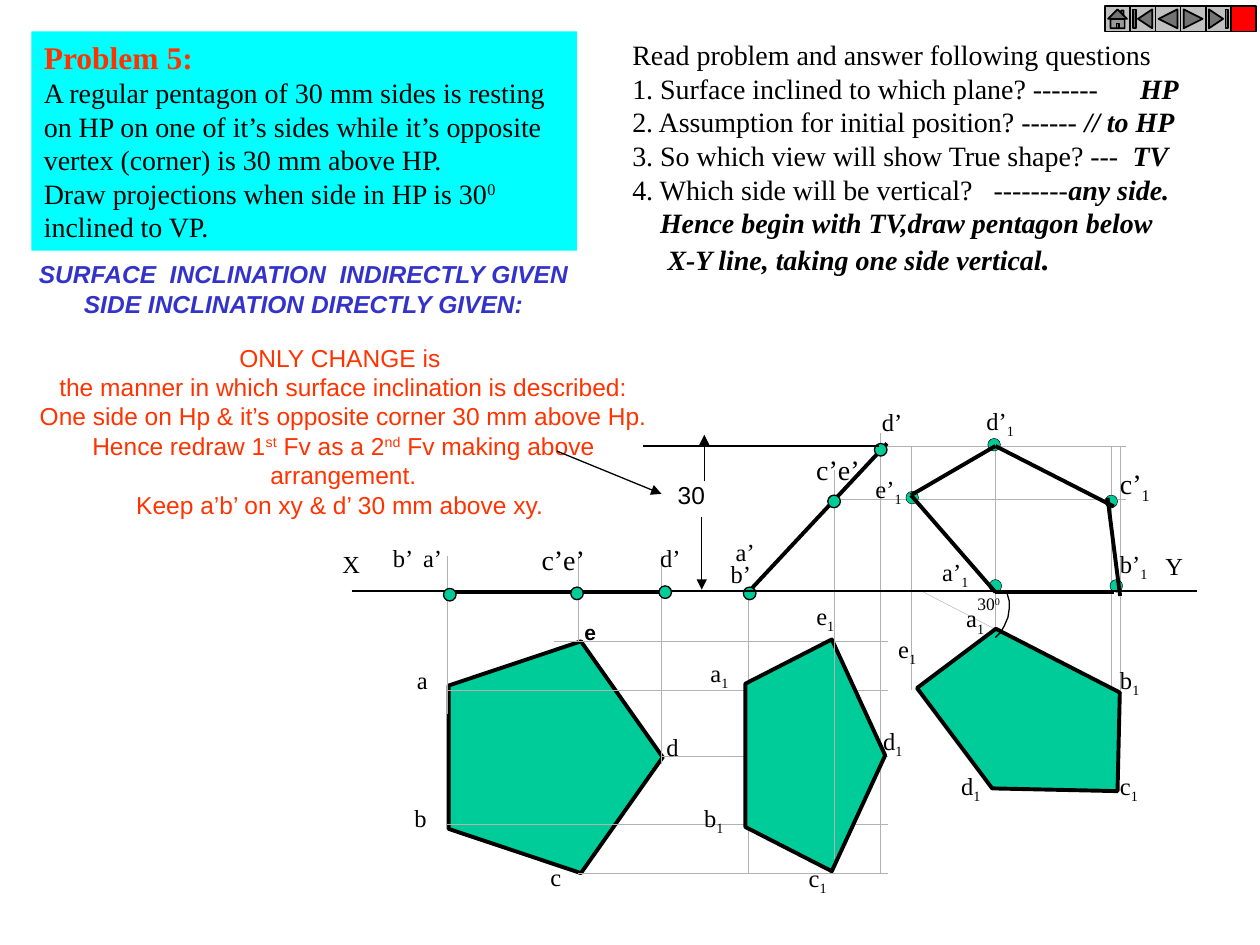
from lxml import etree
from pptx import Presentation, util as u
from pptx.dml.color import RGBColor
from pptx.enum import shapes, text
from pptx.oxml import ns

HUES = {"black": "000000", "cyan": "00FFFF", "green": "00CC99", "gray": "B2B2B2",
        "orange": "FF3300", "blue": "3333CC", "silver": "C0C0C0", "red": "FF0000"}
KINDS = shapes.MSO_SHAPE
ROMAN, SANS = "Times New Roman", "Arial"
BASES = {"^": "30000", "_": "-25000"}


def cm(inches):
    return u.Cm(inches * 2.54)


def hue(name):
    return RGBColor.from_string(HUES[name])


def sub(node, tag, **attrs):
    return etree.SubElement(node, ns.qn(tag), **attrs)


def add_run(para, words, mark=""):
    run = para.add_run()
    run.text = words
    if mark in BASES:
        run._r.get_or_add_rPr().set("baseline", BASES[mark])
    if mark == "bi":
        run.font.bold = run.font.italic = True


def fill_para(para, parts, size, face=ROMAN, color="black", bold=None, italic=None,
              center=False, indent=0, tab=0):
    props = para._p.get_or_add_pPr()
    if indent:
        props.set("marL", str(cm(indent)))
        props.set("indent", "0")
    if tab:
        sub(sub(props, "a:tabLst"), "a:tab", pos=str(cm(tab)), algn="l")
    if center:
        para.alignment = text.PP_ALIGN.CENTER
    font = para.font
    font.size, font.name = u.Pt(size), face
    font.bold, font.italic = bold, italic
    font.color.rgb = hue(color)
    for part in [parts] if isinstance(parts, str) else parts:
        add_run(para, *([part] if isinstance(part, str) else part))


def fill_frame(frame, rows, **style):
    for i, row in enumerate(rows):
        para = frame.paragraphs[0] if i == 0 else frame.add_paragraph()
        parts, extra = row if isinstance(row, tuple) else (row, {})
        fill_para(para, parts, **{**style, **extra})


def add_text(slide, x, y, w, h, rows, wrap=False, **style):
    frame = slide.shapes.add_textbox(cm(x), cm(y), cm(w), cm(h)).text_frame
    frame.word_wrap = wrap
    fill_frame(frame, rows, **style)
    return frame


def add_label(slide, name, x, y, size=14, **style):
    mark = next((m for m in BASES if m in name), "")
    stem, _, tail = name.partition(mark) if mark else (name, "", "")
    parts = [stem, (tail, mark)] if mark else stem
    wide = 0.25 + 0.0065 * size * len(stem + tail)
    add_text(slide, x, y, wide, 0.1 + size / 60, [parts], size=size, **style)


def add_line(slide, x1, y1, x2, y2, color="black", width=0.75, arrow=False):
    line = slide.shapes.add_connector(shapes.MSO_CONNECTOR.STRAIGHT,
                                      cm(x1), cm(y1), cm(x2), cm(y2))
    line.line.color.rgb, line.line.width = hue(color), u.Pt(width)
    if arrow:
        sub(line.line._get_or_add_ln(), "a:tailEnd", type="triangle")
    sub(line._element.spPr, "a:effectLst")


def add_shape(slide, kind, x, y, w, h, fill, width=0, turn=0):
    shape = slide.shapes.add_shape(kind, cm(x), cm(y), cm(w), cm(h))
    shape.shadow.inherit = False
    shape.rotation = turn
    shape.fill.solid()
    shape.fill.fore_color.rgb = hue(fill)
    if width:
        shape.line.color.rgb, shape.line.width = hue("black"), u.Pt(width)
    else:
        shape.line.fill.background()
    return shape


def add_guides(slide, ends):
    for end in ends:
        add_line(slide, *end, color="gray", width=0.25)


def add_edges(slide, ends):
    for end in ends:
        add_line(slide, *end, width=2.25)


def add_dots(slide, spots, width):
    for x, y in spots:
        add_shape(slide, KINDS.OVAL, x, y, 0.1, 0.1, "green", width)


def add_plate(slide, x, y, w, h, turn):
    add_shape(slide, KINDS.REGULAR_PENTAGON, x, y, w, h, "green", 2.25, turn)


def add_arc(slide):
    spots = [(7.9, 5.06), (7.94, 5.02), (7.97, 4.97), (8, 4.9),
             (8.01, 4.83), (8.01, 4.77), (7.99, 4.7)]
    points = [(cm(x), cm(y)) for x, y in spots]
    pen = slide.shapes.build_freeform(*points[0])
    pen.add_line_segments(points[1:], close=False)
    arc = pen.convert_to_shape()
    arc.shadow.inherit = False
    arc.fill.background()
    arc.line.color.rgb, arc.line.width = hue("black"), u.Pt(0.75)


def add_problem(slide):
    box = add_shape(slide, KINDS.RECTANGLE, 0.25, 0.25, 4.33, 1.74, "cyan")
    frame = box.text_frame
    frame.word_wrap, frame.vertical_anchor = True, text.MSO_ANCHOR.TOP
    fill_frame(frame, [
        ("Problem 5:", {"size": 18, "color": "orange", "bold": True}),
        "A regular pentagon of 30 mm sides is resting",
        "on HP on one of it’s sides while it’s opposite",
        "vertex (corner) is 30 mm above HP.",
        ["Draw projections when side in HP is 30", ("0", "^"), " inclined to VP."]], size=16)
    for para in frame.paragraphs:
        para.alignment = text.PP_ALIGN.LEFT


def add_questions(slide):
    frame = add_text(slide, 4.92, 0.25, 4.56, 2.01, [
        "Read problem and answer following questions",
        (["1. Surface inclined to which plane? -------\t", ("HP", "bi")], {"tab": 4.03}),
        ["2. Assumption for initial position? ------ ", ("// to HP", "bi")],
        ["3. So which view will show True shape? ---  ", ("TV", "bi")],
        ["4. Which side will be vertical?   --------", ("any side.", "bi")],
        ([("Hence begin with TV,draw pentagon below", "bi")], {"indent": 0.22}),
        ([("X-Y line, taking one side vertical", "bi"), (".", "bi")], {"indent": 0.28})],
        size=16)
    frame.paragraphs[-1].runs[-1].font.size = u.Pt(18)


def add_notes(slide):
    add_text(slide, 0.19, 2.01, 4.44, 0.57,
             ["SURFACE  INCLINATION  INDIRECTLY GIVEN", "SIDE INCLINATION DIRECTLY GIVEN:"],
             size=14, face=SANS, color="blue", bold=True, italic=True, center=True)
    frame = add_text(slide, 0.03, 2.67, 5.39, 1.26, [
        "ONLY CHANGE is ",
        "the manner in which surface inclination is described:",
        "One side on Hp & it’s opposite corner 30 mm above Hp.",
        ["Hence redraw 1", ("st", "^"), " Fv as a 2", ("nd", "^"),
         " Fv making above arrangement."],
        "Keep a’b’ on xy & d’ 30 mm above xy. "],
        wrap=True, size=14, face=SANS, color="orange", center=True)
    frame.margin_left = frame.margin_right = cm(0.24)
    add_line(slide, 4.42, 3.58, 5.25, 3.92, arrow=True)


def add_views(slide):
    add_plate(slide, 3.49, 5.16, 1.84, 1.7, 90)
    add_guides(slide, [(x, low, x, top) for x, low, top in [
        (3.55, 5.67, 4.41), (4.59, 5.09, 4.41), (5.25, 6.06, 4.41),
        (6.99, 6.93, 3.44), (5.94, 6.93, 4.7)]])
    add_guides(slide, [(x, y, 7.05, y) for x, y in [
        (4.4, 5.09), (3.55, 5.48), (5.25, 6), (3.55, 6.54), (4.59, 6.93)]])
    add_plate(slide, 5.55, 5.44, 1.84, 1.11, 90)
    add_guides(slide, [(8.84, 5.48, 7.33, 4.7)])
    add_guides(slide, [(x, low, x, 3.54) for x, low in [
        (7.23, 5.48), (7.9, 6.25), (8.82, 6.25), (8.89, 5.48)]])
    add_guides(slide, [(6.95, 3.54, 8.94, 3.54), (6.57, 3.96, 8.94, 3.96)])
    add_dots(slide, [(7.85, 4.6), (8.81, 4.6), (7.84, 3.48), (8.77, 3.93), (7.19, 3.9)], 0.25)
    add_edges(slide, [(7.9, 3.54, 7.23, 3.93), (7.23, 3.93, 7.9, 4.7), (7.9, 4.7, 8.84, 4.7),
                      (8.79, 3.95, 8.89, 4.73), (7.9, 3.54, 8.84, 4.02)])
    add_guides(slide, [(6.62, 3.73, 6.62, 6.82)])
    add_edges(slide, [(5.92, 4.72, 7.04, 3.52)])
    add_dots(slide, [(6.57, 3.93), (6.94, 3.52), (5.9, 4.66)], 0.75)
    add_plate(slide, 7.24, 5.18, 1.79, 1.14, 207.2)
    add_line(slide, 2.79, 4.69, 9.5, 4.69)
    add_edges(slide, [(3.61, 4.7, 5.26, 4.7)])
    add_dots(slide, [(5.23, 4.65), (4.53, 4.66), (3.52, 4.67)], 0.75)
    add_line(slide, 6.98, 3.54, 5.1, 3.54)
    add_line(slide, 5.57, 4.1, 5.57, 4.68, arrow=True)
    add_line(slide, 5.59, 3.82, 5.59, 3.45, arrow=True)
    add_arc(slide)


def add_labels(slide):
    for spot in [
            ("b’", 5.7, 4.39), ("d’", 6.9, 3.18), ("a’", 5.74, 4.21), ("c’e’", 6.38, 3.54, 16),
            ("a_1", 7.57, 4.74), ("b_1", 8.79, 5.23), ("c_1", 8.79, 6.07),
            ("d_1", 7.53, 6.07), ("e_1", 7.03, 4.98),
            ("b_1", 5.49, 6.32), ("c_1", 6.32, 6.8), ("d_1", 6.91, 5.71),
            ("a_1", 5.54, 5.17), ("e_1", 6.38, 4.72),
            ("b’_1", 8.79, 4.31), ("e’_1", 6.85, 3.71), ("c’_1", 8.79, 3.65, 16),
            ("d’_1", 7.73, 3.17), ("a’_1", 7.38, 4.37),
            ("X", 2.62, 4.31), ("Y", 9.15, 4.32), ("a’", 3.26, 4.26), ("b’", 3.02, 4.26),
            ("d’", 5.14, 4.26), ("c’e’", 4.2, 4.26, 16),
            ("a", 3.21, 5.23), ("b", 3.19, 6.32), ("c", 4.27, 6.79), ("d", 5.19, 5.76),
            ("30^0", 7.66, 4.66, 10)]:
        add_label(slide, *spot)
    add_label(slide, "30", 5.28, 3.76, face=SANS)
    add_label(slide, "e", 4.54, 4.87, 12, face=SANS, bold=True)


def add_buttons(slide):
    for i, name in enumerate(["HOME", "BEGINNING", "BACK_OR_PREVIOUS",
                              "FORWARD_OR_NEXT", "END", "CUSTOM"]):
        fill = "red" if name == "CUSTOM" else "silver"
        add_shape(slide, KINDS["ACTION_BUTTON_" + name], 8.77 + 0.2 * i, 0.05, 0.2, 0.2, fill, 1)


def main():
    deck = Presentation()
    deck.slide_width, deck.slide_height = cm(10), cm(7.5)
    slide = deck.slides.add_slide(deck.slide_layouts[6])
    for build in (add_problem, add_questions, add_views, add_labels, add_notes, add_buttons):
        build(slide)
    deck.save("out.pptx")


if __name__ == "__main__":
    main()
